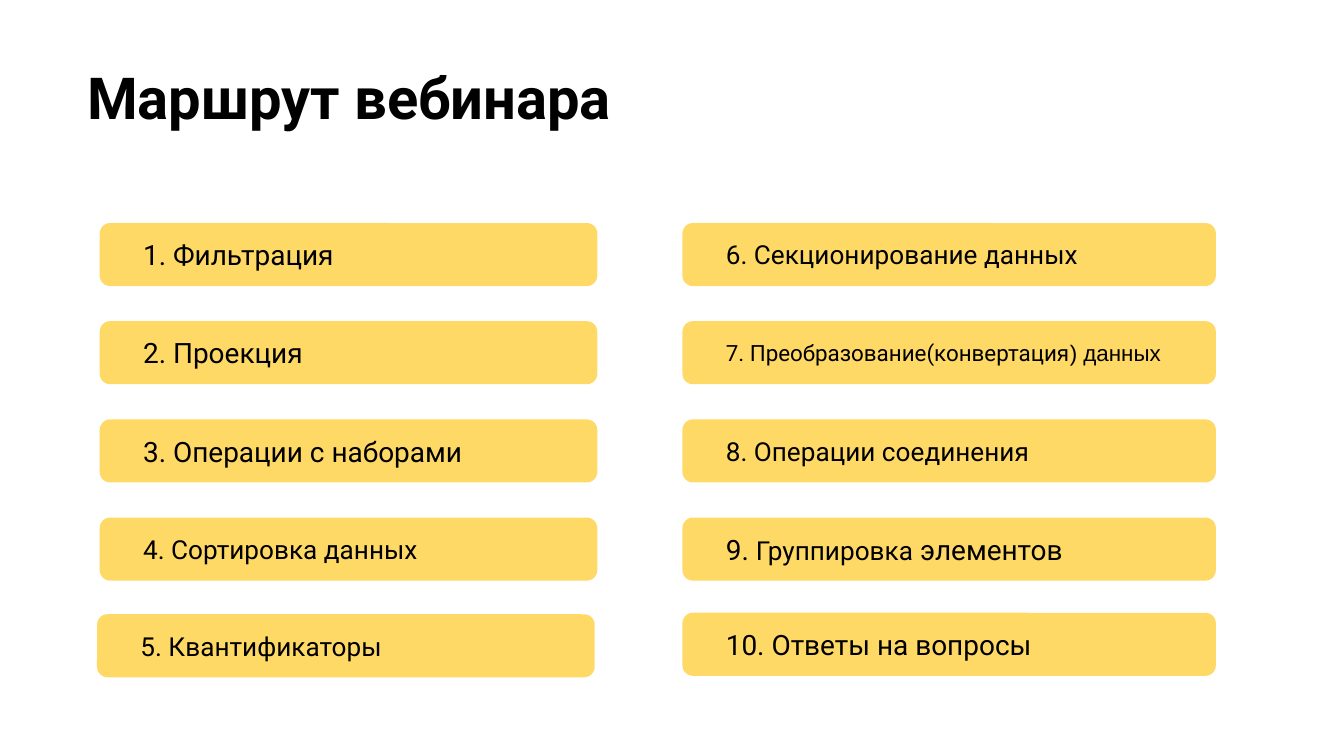
from pptx import Presentation
from pptx.dml.color import RGBColor
from pptx.enum.shapes import MSO_SHAPE as Shape
from pptx.enum.text import MSO_ANCHOR as Anchor, PP_ALIGN as Align
from pptx.util import Pt

BLACK, YELLOW = "000000", "FFD966"
PITCH, BAR_HEIGHT = 52.6, 33.8
LEFT_TOPICS = [
    [("1. Фильтрация", 15)],
    [("2. Проекция", 15)],
    [("3. Операции с наборами", 15)],
    [("4. Сортировка данных", 14)],
    [("5. Квантификаторы", 14)],
]
RIGHT_TOPICS = [
    [("6. Секционирование данных", 14)],
    [("7. Преобразование(конвертация", 12), (") данных", 12, "Arial")],
    [("8. Операции соединения", 14)],
    [("9. ", 15), ("Группировка", 14), (" элементов", 15)],
    [("10. Ответы на вопросы", 15)],
]


def color(hex_value):
    """Turn a hex string into a colour."""
    return RGBColor.from_string(hex_value)


def apply_format(target, values):
    """Set each attribute of the target from a dict."""
    for name, value in values.items():
        setattr(target, name, value)


def write(frame, pieces, side_inset, anchor, bold=False):
    """Fill a text frame with one paragraph of (text, size, font) pieces."""
    apply_format(frame, {
        "word_wrap": True, "vertical_anchor": anchor,
        "margin_left": Pt(side_inset), "margin_right": Pt(side_inset),
        "margin_top": Pt(7.2), "margin_bottom": Pt(7.2),
    })
    paragraph = frame.paragraphs[0]
    paragraph.alignment = Align.LEFT
    for text, size, *font in pieces:
        run = paragraph.add_run()
        run.text = text
        name = font[0] if font else "Roboto"
        apply_format(run.font, {"size": Pt(size), "name": name, "bold": bold})
        run.font.color.rgb = color(BLACK)


def add_heading(slide, left, top, width, height):
    """Place the slide heading in its box."""
    heading = slide.shapes.add_textbox(Pt(left), Pt(top), Pt(width), Pt(height))
    write(heading.text_frame, [("Маршрут вебинара", 31)], 7.2, Anchor.TOP, bold=True)


def add_topics(slide, left, top, width, topics, last_shift):
    """Stack topic bars at an even pitch, shifting the last one."""
    for row, topic in enumerate(topics):
        dx, dy = last_shift if row == len(topics) - 1 else (0, 0)
        bar = slide.shapes.add_shape(
            Shape.ROUNDED_RECTANGLE, Pt(left + dx), Pt(top + row * PITCH + dy),
            Pt(width), Pt(BAR_HEIGHT))
        bar.shadow.inherit = False
        bar.fill.solid()
        bar.fill.fore_color.rgb = color(YELLOW)
        bar.line.fill.background()
        write(bar.text_frame, topic, 21.6, Anchor.MIDDLE)


def main():
    """Build the webinar route slide."""
    deck = Presentation()
    apply_format(deck, {"slide_width": Pt(720), "slide_height": Pt(405)})
    slide = deck.slides.add_slide(deck.slide_layouts[6])
    add_heading(slide, 39.6, 26, 671, 77)
    add_topics(slide, 53.4, 119.5, 266.6, LEFT_TOPICS, (-1.4, -0.8))
    add_topics(slide, 365.6, 119.5, 285.8, RIGHT_TOPICS, (0, -1.6))
    deck.save("out.pptx")


if __name__ == "__main__":
    main()
